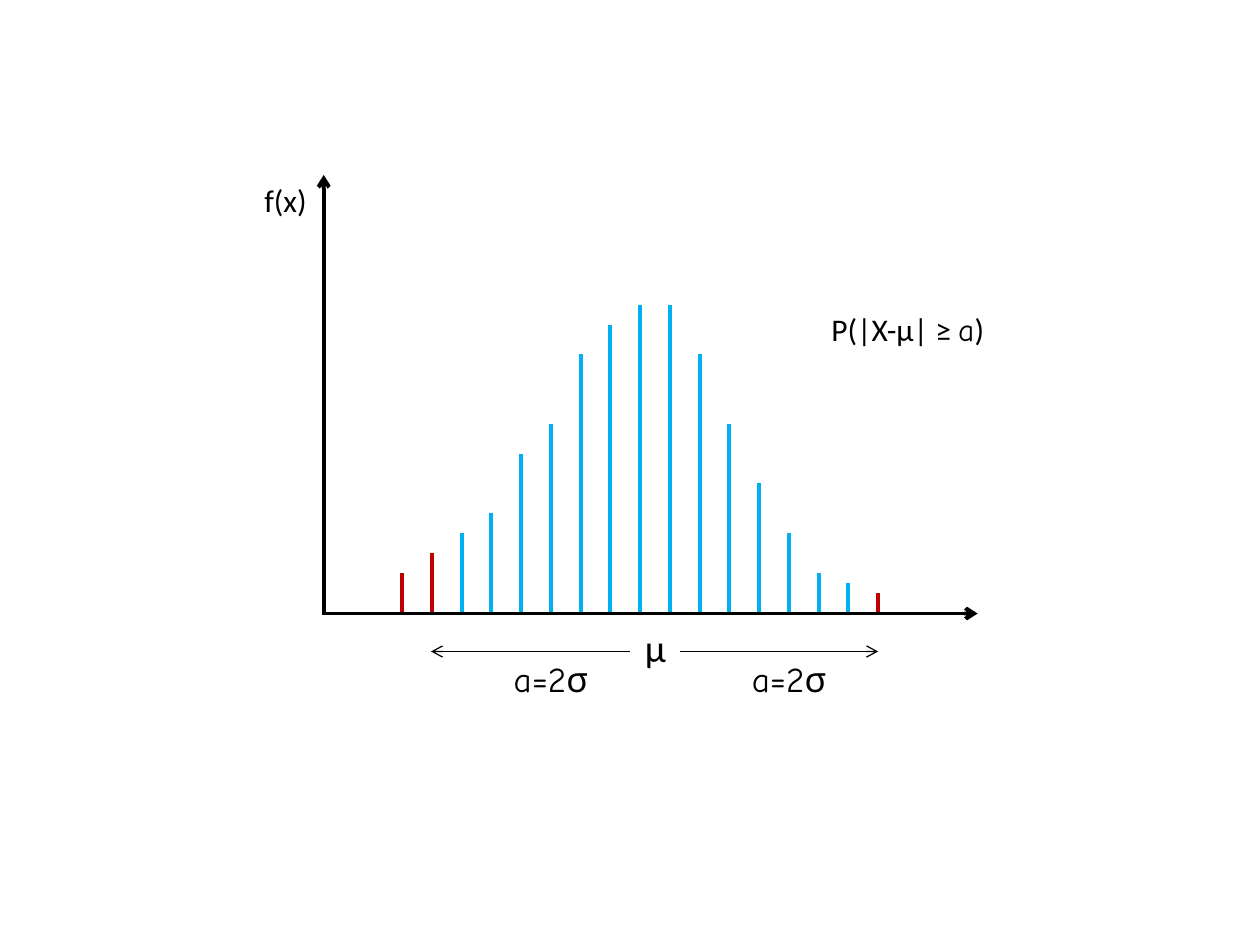
from dataclasses import dataclass

from lxml import etree
from pptx import Presentation
from pptx.dml.color import RGBColor
from pptx.enum.shapes import MSO_CONNECTOR
from pptx.oxml.ns import qn
from pptx.util import Pt

STRAIGHT = MSO_CONNECTOR.STRAIGHT


@dataclass(frozen=True)
class Theme:
    ink: RGBColor = RGBColor(0x00, 0x00, 0x00)
    center: RGBColor = RGBColor(0x00, 0xB0, 0xF0)
    tail: RGBColor = RGBColor(0xC0, 0x00, 0x00)
    body_font: str = "Calibri"
    variable_font: str = "Comic Neue"
    formula_size: float = 18
    distance_size: float = 20
    mean_size: float = 22
    heavy: float = 2.25
    thin: float = 0.75


THEME = Theme()

# Distribution: bar heights in units, evenly spaced on the baseline
BASELINE = 350
FIRST_BAR = 229.8
BAR_GAP = 17
UNIT = 5.67
HEIGHTS = [4, 6, 8, 10, 16, 19, 26, 29, 31, 31, 26, 19, 13, 8, 4, 3, 2]
TAIL_BARS = {0, 1, len(HEIGHTS) - 1}

DISTANCE_Y = 372.3


def add_line(slide, start, end, color, width, arrow=False):
    line = slide.shapes.add_connector(STRAIGHT, *map(Pt, (*start, *end)))
    line.line.color.rgb = color
    line.line.width = Pt(width)
    if arrow:
        etree.SubElement(line.line._get_or_add_ln(), qn("a:tailEnd"), type="arrow")
    etree.SubElement(line._element.spPr, qn("a:effectLst"))


def add_label(slide, box, pieces, size, wrap=True):
    """Write a label from (text, font) pieces on one line."""
    frame = slide.shapes.add_textbox(*map(Pt, box)).text_frame
    frame.word_wrap = wrap
    paragraph = frame.paragraphs[0]
    paragraph.font.size = Pt(size)
    paragraph.font.color.rgb = THEME.ink
    paragraph.font.name = pieces[0][1]
    for text, font in pieces:
        run = paragraph.add_run()
        run.text = text
        if font != pieces[0][1]:
            run.font.name = font


def add_axes(slide):
    origin_x = 185
    for start, end in (
        ((184.3, 350.6), (558.7, 350.6)),
        ((origin_x, BASELINE), (origin_x, 100)),
    ):
        add_line(slide, start, end, THEME.ink, THEME.heavy, arrow=True)


def add_bars(slide):
    for index, height in enumerate(HEIGHTS):
        x = FIRST_BAR + index * BAR_GAP
        color = THEME.tail if index in TAIL_BARS else THEME.center
        add_line(slide, (x, BASELINE), (x, BASELINE - height * UNIT), color, THEME.heavy)


def add_distances(slide):
    for start_x, end_x, label_x in ((360, 246.3, 286.5), (388.3, 501.8, 422.6)):
        add_line(slide, (start_x, DISTANCE_Y), (end_x, DISTANCE_Y),
                 THEME.ink, THEME.thin, arrow=True)
        add_label(slide, (label_x, DISTANCE_Y, 67.7, 31.5),
                  [("a=2σ", THEME.variable_font)], THEME.distance_size)


def main():
    presentation = Presentation()
    presentation.slide_width = Pt(720)
    presentation.slide_height = Pt(540)
    slide = presentation.slides.add_slide(presentation.slide_layouts[6])

    # Plot
    add_axes(slide)
    add_bars(slide)

    # Mean and the distances on both sides of it
    add_label(slide, (361.4, 352.8, 51, 33.9), [("μ", THEME.body_font)], THEME.mean_size)
    add_distances(slide)

    # Axis title and tail probability
    add_label(slide, (144, 100, 39, 29), [("f(x)", THEME.body_font)],
              THEME.formula_size, wrap=False)
    add_label(slide, (468, 173.5, 170, 29),
              [("P(|X-μ| ≥ ", THEME.body_font), ("a", THEME.variable_font),
               (")", THEME.body_font)], THEME.formula_size)

    presentation.save("out.pptx")


if __name__ == "__main__":
    main()
